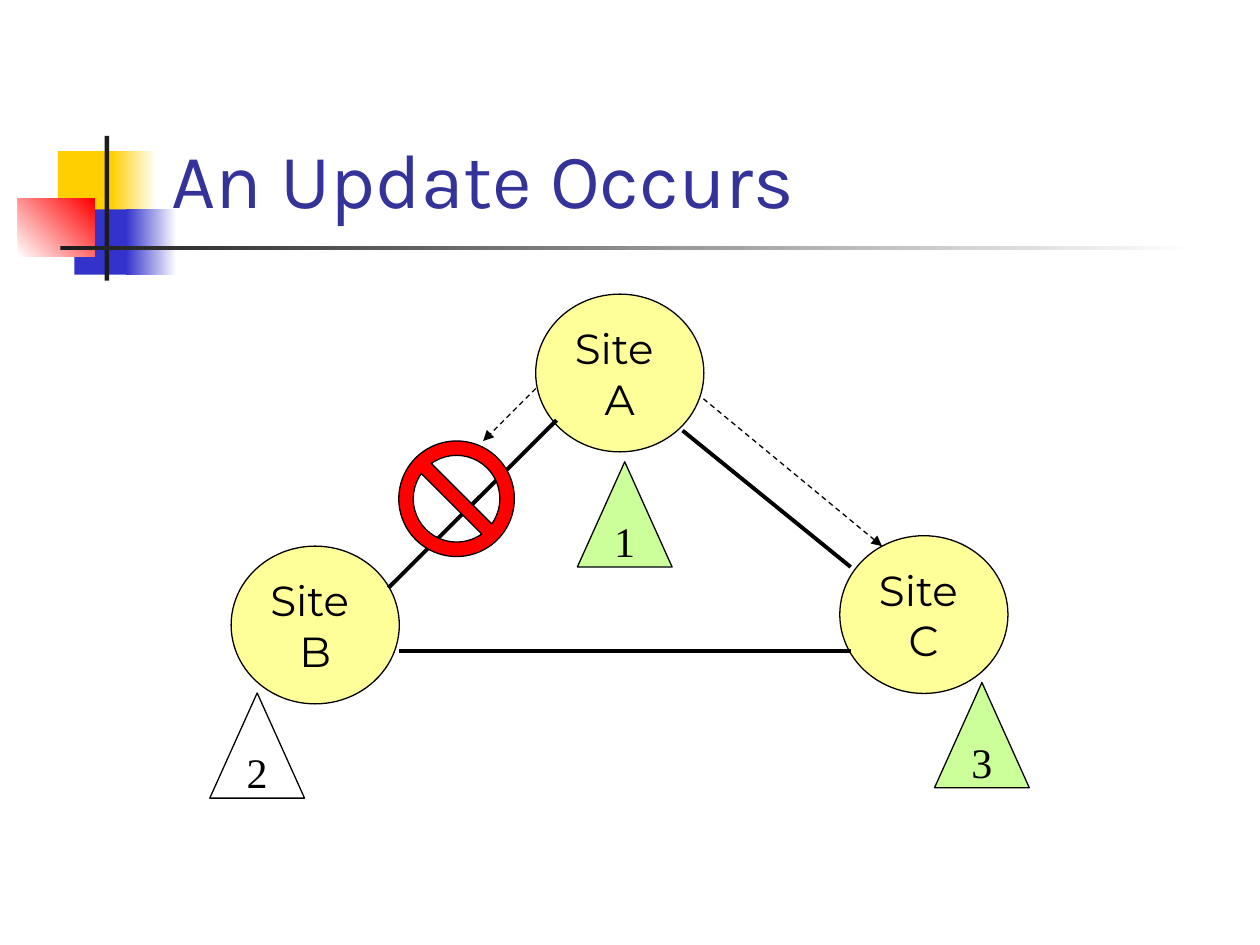
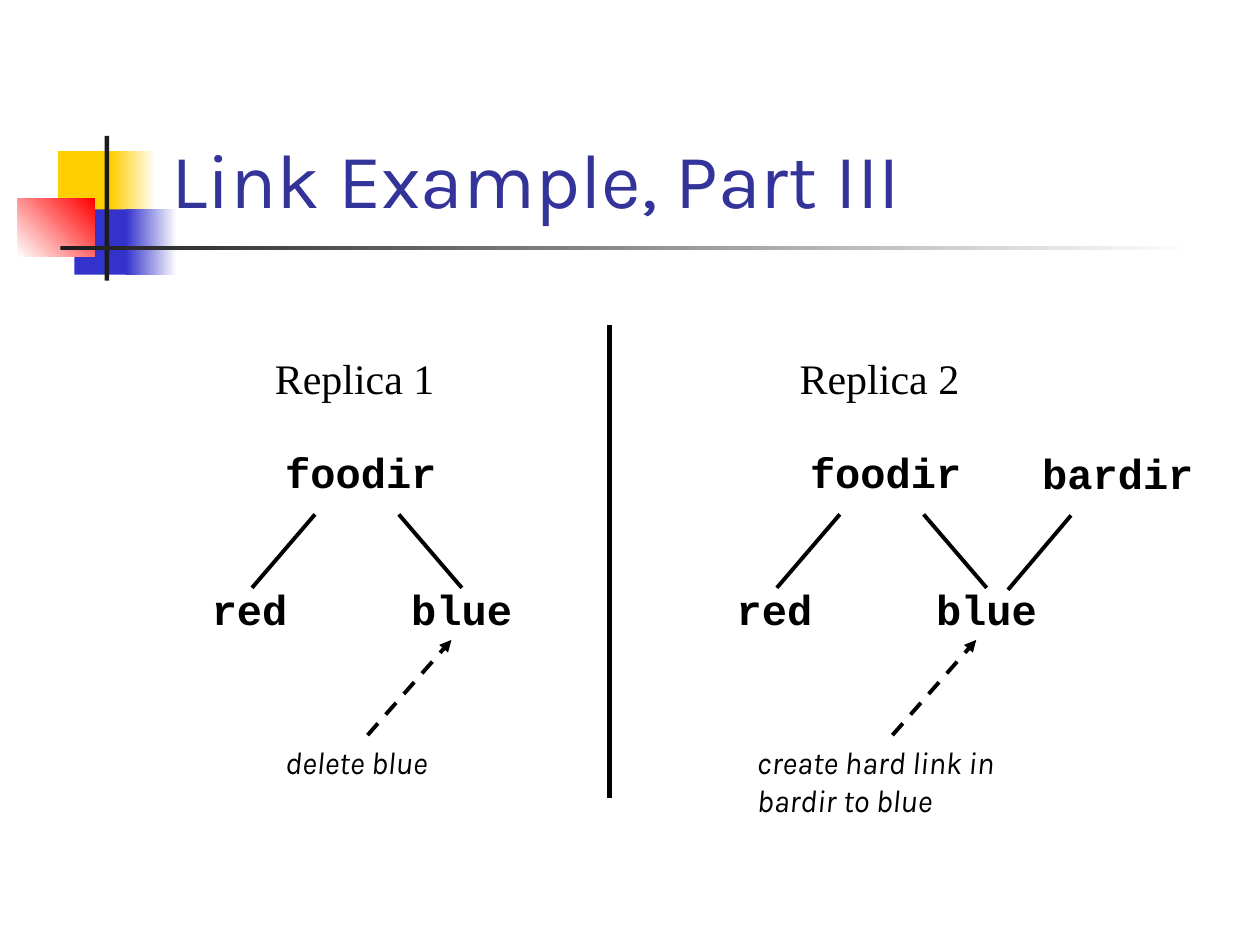
import pptx
import pptx.dml.color
import pptx.enum.dml
import pptx.enum.shapes
import pptx.enum.text
import pptx.oxml.ns
import pptx.util
from lxml import etree

Cm = pptx.util.Cm
Pt = pptx.util.Pt
SHAPE = pptx.enum.shapes.MSO_SHAPE
ANCHOR = pptx.enum.text.MSO_ANCHOR
ALIGN = pptx.enum.text.PP_ALIGN
qn = pptx.oxml.ns.qn

COLORS = {
    "title": "333399", "ink": "000000", "white": "FFFFFF",
    "yellow": "FFCF01", "blue": "3333CC", "red": "FF0000", "bar": "1C1C1C",
    "site": "FFFF99", "updated": "CCFF99",
}
FORMATS = {
    "title": {"name": "Karla", "size": Pt(44)},
    "site": {"name": "Montserrat", "size": Pt(24)},
    "plain": {"name": "Times New Roman", "size": Pt(24)},
    "code": {"name": "Courier New", "size": Pt(24), "bold": True},
    "note": {"name": "Karla", "size": Pt(18), "italic": True},
}
# Left, top, width, height, start colour, end colour, gradient angle
DECORATION = [
    (1.17, 3.05, 1.22, 1.32, "yellow", None, 0),
    (2.24, 3.05, 0.91, 1.32, "yellow", "white", 0),
    (1.5, 4.22, 1.17, 1.32, "blue", None, 0),
    (2.54, 4.22, 1.02, 1.32, "blue", "white", 0),
    (0.36, 4.01, 1.55, 1.17, "white", "red", 45),
    (2.11, 2.74, 0.09, 2.92, "bar", None, 0),
    (1.22, 4.95, 22.86, 0.09, "bar", "white", 0),
]
REPLICA_STEP = 10.58


def rgb(color):
    return pptx.dml.color.RGBColor.from_string(COLORS[color])


def write(frame, text, style, color="ink", align=ALIGN.LEFT):
    """Fill a text frame, one paragraph for each line of text."""
    frame.text = text
    for para in frame.paragraphs:
        para.alignment = align
        para.font.color.rgb = rgb(color)
        for attribute, value in FORMATS[style].items():
            setattr(para.font, attribute, value)


def add_shape(page, kind, left, top, width, height, fill, outline=True):
    shape = page.shapes.add_shape(kind, Cm(left), Cm(top), Cm(width), Cm(height))
    shape.shadow.inherit = False
    shape.fill.solid()
    shape.fill.fore_color.rgb = rgb(fill)
    if outline:
        shape.line.color.rgb = rgb("ink")
        shape.line.width = Pt(0.75)
    else:
        shape.line.fill.background()
    return shape


def add_labelled(page, kind, left, top, width, height, fill, text, style):
    shape = add_shape(page, kind, left, top, width, height, fill)
    frame = shape.text_frame
    frame.word_wrap = False
    frame.vertical_anchor = ANCHOR.MIDDLE
    write(frame, text, style, align=ALIGN.CENTER)


def add_site(page, left, top, letter):
    add_labelled(page, SHAPE.OVAL, left, top, 3.39, 3.18, "site",
                 f"Site \n{letter}", "site")


def add_file(page, left, top, number, fill):
    add_labelled(page, SHAPE.ISOSCELES_TRIANGLE, left, top, 1.91, 2.12, fill,
                 number, "plain")


def add_label(page, left, top, width, text, style, height=1.27):
    box = page.shapes.add_textbox(Cm(left), Cm(top), Cm(width), Cm(height))
    box.text_frame.word_wrap = False
    box.text_frame.auto_size = pptx.enum.text.MSO_AUTO_SIZE.SHAPE_TO_FIT_TEXT
    write(box.text_frame, text, style)


def add_line(page, start, end, weight=2.25, arrow=False):
    """Draw a solid line, or a dashed one with an arrowhead at its end."""
    line = page.shapes.add_connector(
        pptx.enum.shapes.MSO_CONNECTOR.STRAIGHT,
        *(Cm(length) for length in (*start, *end)))
    line.line.color.rgb = rgb("ink")
    line.line.width = Pt(weight)
    properties = line.element.spPr
    if arrow:
        line.line.dash_style = pptx.enum.dml.MSO_LINE.DASH
        etree.SubElement(properties.find(qn("a:ln")), qn("a:tailEnd"), type="triangle")
    etree.SubElement(properties, qn("a:effectLst"))


def decorate_layout(layout, page):
    """Build the title decoration on a page and move it into its layout."""
    for holder in list(layout.placeholders):
        if holder.placeholder_format.type != pptx.enum.shapes.PP_PLACEHOLDER.TITLE:
            holder.element.getparent().remove(holder.element)
    parts = []
    for left, top, width, height, first, last, angle in DECORATION:
        part = add_shape(page, SHAPE.RECTANGLE, left, top, width, height, first, False)
        if last:
            part.fill.gradient()
            part.fill.gradient_angle = angle
            for stop, color in zip(part.fill.gradient_stops, (first, last)):
                stop.color.rgb = rgb(color)
        parts.append(part)
    for part in parts:
        layout.element.cSld.spTree.append(part.element)


def add_page(deck, layout, heading):
    page = deck.slides.add_slide(layout)
    title = page.shapes.title
    place = {"left": 3.2, "top": 0.58, "width": 21.64, "height": 4.06}
    for attribute, length in place.items():
        setattr(title, attribute, Cm(length))
    title.text_frame.vertical_anchor = ANCHOR.BOTTOM
    write(title.text_frame, heading, "title", "title")
    return page


def draw_update(page):
    # Sites and the links between them
    for left, top, letter in [(10.8, 5.93, "A"), (4.66, 11.01, "B"), (16.93, 10.8, "C")]:
        add_site(page, left, top, letter)
    add_line(page, (11.22, 8.47), (7.83, 11.85))
    add_line(page, (13.76, 8.68), (17.15, 11.43))
    add_line(page, (8.04, 13.12), (17.15, 13.12))

    # File versions
    add_file(page, 11.64, 9.31, "1", "updated")
    add_file(page, 4.23, 13.97, "2", "white")
    add_file(page, 18.84, 13.76, "3", "updated")

    # Update messages, one of them blocked
    add_line(page, (10.8, 7.83), (9.74, 8.89), 0.75, arrow=True)
    add_line(page, (14.18, 8.04), (17.78, 11.01), 0.75, arrow=True)
    blocked = add_shape(page, SHAPE.NO_SYMBOL, 8.04, 8.89, 2.33, 2.33, "red")
    blocked.adjustments[0] = 0.125


def draw_replica(page, number):
    """Draw one replica's directory tree and the arrow to its blue file."""
    shift = (number - 1) * REPLICA_STEP
    add_label(page, 5.29 + shift, 6.99, 3.73, f"Replica {number}", "plain")
    add_label(page, 5.5 + shift, 8.87, 3.56, "foodir", "code")
    add_line(page, (8.04 + shift, 10.37), (9.31 + shift, 11.85))
    add_line(page, (6.35 + shift, 10.37), (5.08 + shift, 11.85))
    add_label(page, 4.02 + shift, 11.64, 2.03, "red", "code")
    add_label(page, 8.04 + shift, 11.64, 2.54, "blue", "code")
    add_line(page, (7.41 + shift, 14.82), (9.1 + shift, 12.9), arrow=True)


def draw_links(page):
    # Replicas and divider
    for number in (1, 2):
        draw_replica(page, number)
    add_line(page, (12.28, 6.56), (12.28, 16.09), 3)

    # Second directory of replica 2
    add_label(page, 20.76, 8.89, 3.56, "bardir", "code")
    add_line(page, (21.59, 10.39), (20.32, 11.89))

    # Operations
    add_label(page, 5.5, 14.86, 3.58, "delete blue", "note", 1.02)
    add_label(page, 15.01, 14.86, 5.79, "create hard link in\nbardir to blue", "note", 1.78)


def main():
    deck = pptx.Presentation()
    deck.slide_width, deck.slide_height = Cm(25.4), Cm(19.05)
    layout = deck.slide_layouts.get_by_name("Title Only")

    update_page = add_page(deck, layout, "An Update Occurs")
    decorate_layout(layout, update_page)
    draw_update(update_page)

    draw_links(add_page(deck, layout, "Link Example, Part III"))
    deck.save("out.pptx")


if __name__ == "__main__":
    main()
